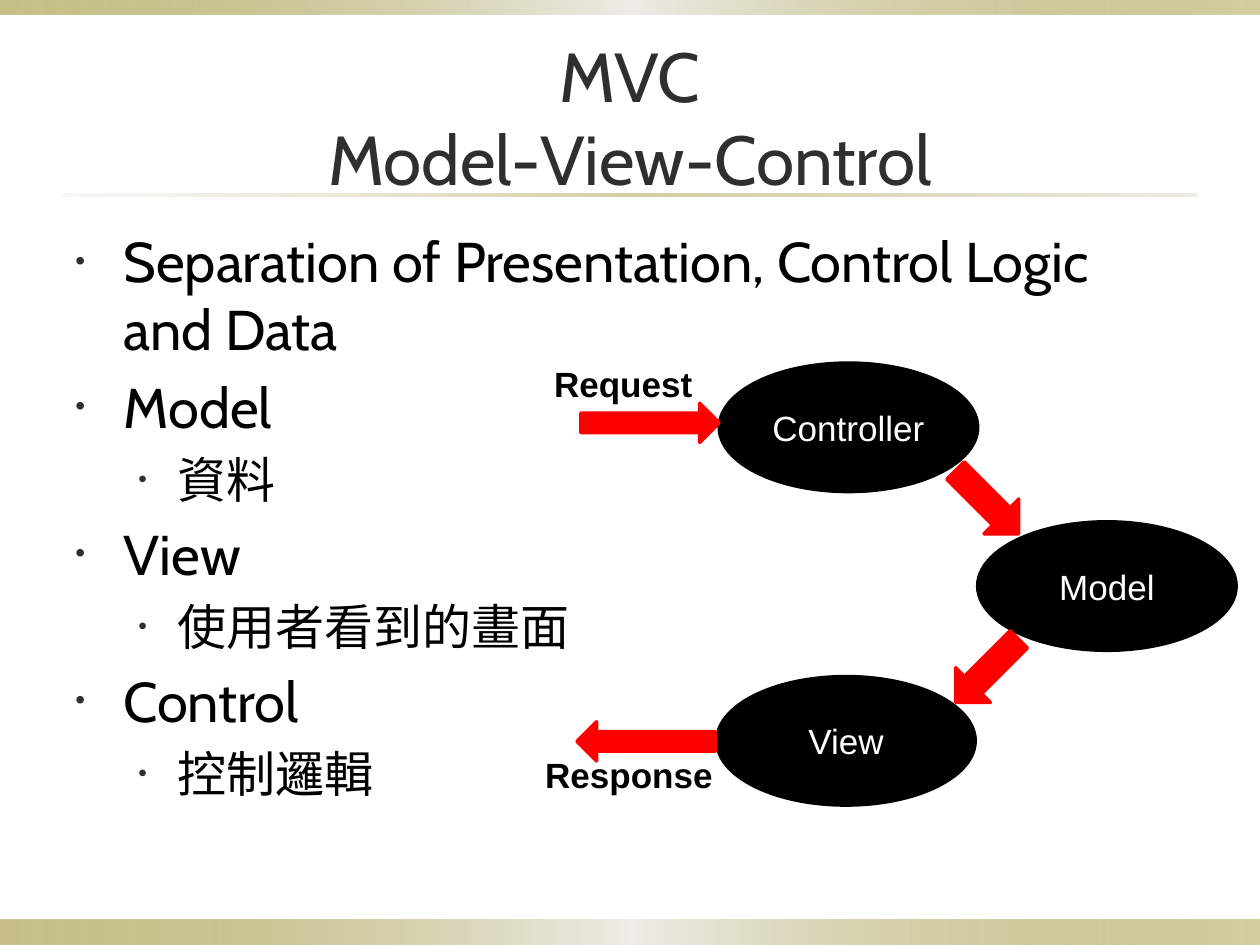
"""Build the MVC (Model-View-Control) slide."""
from lxml import etree
from pptx import Presentation
from pptx import util as u
from pptx.dml.color import RGBColor
from pptx.enum import shapes, text
from pptx.oxml.ns import qn

COLORS = {
    "olive": "918415", "pearl": "EEEDE8", "sand": "DCD9CC", "title": "2F2F2F",
    "black": "000000", "white": "FFFFFF", "red": "FF0000",
}
BAR_STOPS = [(0, "olive", 50), (50, "pearl", 100), (100, "olive", 40)]
RULE_STOPS = [(0, "sand", 20), (50, "olive", 40), (100, "sand", 50)]
BANDS = [
    ((0, 18.54, 25.4, 0.51), BAR_STOPS),
    ((0, 0, 25.4, 0.3), BAR_STOPS),
    ((1.27, 3.91, 22.86, 0.05), RULE_STOPS),
]
BULLETS = [
    (0, "Separation of Presentation, Control Logic and Data"),
    (0, "Model"), (1, "資料"),
    (0, "View"), (1, "使用者看到的畫面"),
    (0, "Control"), (1, "控制邏輯"),
]
LEVELS = [
    {"size": 32, "margin": 0.97, "hanging": 0.97},
    {"size": 28, "margin": 2.06, "hanging": 0.79},
]
NODE_SIZE = (5.21, 2.59)
NODES = [("Controller", 14.5, 7.32), ("Model", 19.71, 10.52), ("View", 14.45, 13.64)]
FLOW_SIZE, LINK_SIZE = (2.79, 0.79), (1.8, 0.99)
ARROWS = [
    ((11.71, 8.13), FLOW_SIZE, 0), ((11.63, 14.55), FLOW_SIZE, 180),
    ((19, 9.63), LINK_SIZE, 45), ((19, 13.03), LINK_SIZE, 135),
]
LABELS = [("Request", (10.92, 7.19, 3.33, 1.12)), ("Response", (10.74, 15.06, 3.91, 1.12))]
TITLE_FONT = {"name": "Cabin", "size": u.Pt(39.6)}
NODE_FONT = {"name": "Arial", "size": u.Pt(20)}
LABEL_FONT = {**NODE_FONT, "bold": True}
CENTERED = {"alignment": text.PP_ALIGN.CENTER}


def apply(target, values):
    """Set each attribute of target from a dict."""
    for name, value in values.items():
        setattr(target, name, value)


def color(name):
    """Return the named colour."""
    return RGBColor.from_string(COLORS[name])


def style_font(paragraph, values, color_name):
    """Format the font of a paragraph."""
    apply(paragraph.font, values)
    paragraph.font.color.rgb = color(color_name)


def add_preset(container, kind, box):
    """Add a preset shape without a shadow."""
    shape = container.add_shape(kind, *map(u.Cm, box))
    shape.shadow.inherit = False
    return shape


def add_solid(container, kind, box, color_name):
    """Add a shape with fill and outline of one colour."""
    shape = add_preset(container, kind, box)
    shape.fill.solid()
    shape.fill.fore_color.rgb = color(color_name)
    shape.line.color.rgb = color(color_name)
    shape.line.width = u.Pt(2)
    return shape


def add_band(container, box, stops):
    """Add a rectangle with a translucent horizontal gradient."""
    shape = add_preset(container, shapes.MSO_SHAPE.RECTANGLE, box)
    shape.line.fill.background()
    shape.fill.gradient()
    shape.fill.gradient_angle = 0
    stop_list = shape._element.spPr.find(qn("a:gradFill")).find(qn("a:gsLst"))
    for stop in list(stop_list):
        stop_list.remove(stop)
    for position, name, opacity in stops:
        stop = etree.SubElement(stop_list, qn("a:gs"), pos=str(position * 1000))
        value = etree.SubElement(stop, qn("a:srgbClr"), val=COLORS[name])
        etree.SubElement(value, qn("a:alpha"), val=str(opacity * 1000))


def add_text(container, box, content, font, color_name, frame_values, paragraph_values):
    """Add a text box with a single paragraph."""
    frame = container.add_textbox(*map(u.Cm, box)).text_frame
    apply(frame, frame_values)
    paragraph = frame.paragraphs[0]
    paragraph.text = content
    apply(paragraph, paragraph_values)
    style_font(paragraph, font, color_name)


def add_bullet(paragraph, level):
    """Give a paragraph its indent and half-size bullet."""
    properties = paragraph._p.get_or_add_pPr()
    properties.set("marL", str(u.Cm(level["margin"])))
    properties.set("indent", str(-u.Cm(level["hanging"])))
    bullet_color = etree.SubElement(properties, qn("a:buClr"))
    etree.SubElement(bullet_color, qn("a:srgbClr"), val=COLORS["title"])
    etree.SubElement(properties, qn("a:buSzPct"), val="50000")
    etree.SubElement(properties, qn("a:buFont"), typeface="Arial")
    etree.SubElement(properties, qn("a:buChar"), char="•")


def add_bullet_list(container, box, items):
    """Add the two-level bullet list."""
    frame = container.add_textbox(*map(u.Cm, box)).text_frame
    frame.word_wrap = True
    for index, (depth, content) in enumerate(items):
        paragraph = frame.add_paragraph() if index else frame.paragraphs[0]
        level = LEVELS[depth]
        paragraph.text = content
        paragraph.level = depth
        add_bullet(paragraph, level)
        if index:
            paragraph.space_before = u.Pt(level["size"] * 0.2)
        style_font(paragraph, {"name": "Cabin", "size": u.Pt(level["size"])}, "black")


def add_node(container, name, left, top):
    """Add a labelled ellipse."""
    shape = add_solid(container, shapes.MSO_SHAPE.OVAL, (left, top, *NODE_SIZE), "black")
    apply(shape.text_frame, {"vertical_anchor": text.MSO_ANCHOR.MIDDLE, "word_wrap": False})
    paragraph = shape.text_frame.paragraphs[0]
    paragraph.text = name
    apply(paragraph, CENTERED)
    style_font(paragraph, NODE_FONT, "white")


def add_diagram(container):
    """Add the grouped request and response flow."""
    group = container.add_group_shape().shapes
    for node in NODES:
        add_node(group, *node)
    for position, size, angle in ARROWS:
        arrow = add_solid(group, shapes.MSO_SHAPE.RIGHT_ARROW, (*position, *size), "red")
        arrow.rotation = angle
    label_frame = {"word_wrap": False, "auto_size": text.MSO_AUTO_SIZE.SHAPE_TO_FIT_TEXT}
    for name, box in LABELS:
        add_text(group, box, name, LABEL_FONT, "black", label_frame, {})


def main():
    """Build and save the presentation."""
    presentation = Presentation()
    apply(presentation, {"slide_width": u.Cm(25.4), "slide_height": u.Cm(19.05)})
    container = presentation.slides.add_slide(presentation.slide_layouts[6]).shapes
    for box, stops in BANDS:
        add_band(container, box, stops)
    title_frame = {"word_wrap": True, "vertical_anchor": text.MSO_ANCHOR.MIDDLE}
    add_text(container, (1.27, 0.76, 22.86, 3.18), "MVC\vModel-View-Control",
             TITLE_FONT, "title", title_frame, CENTERED)
    add_bullet_list(container, (1.27, 4.45, 22.86, 13.03), BULLETS)
    add_diagram(container)
    presentation.save("out.pptx")


if __name__ == "__main__":
    main()
